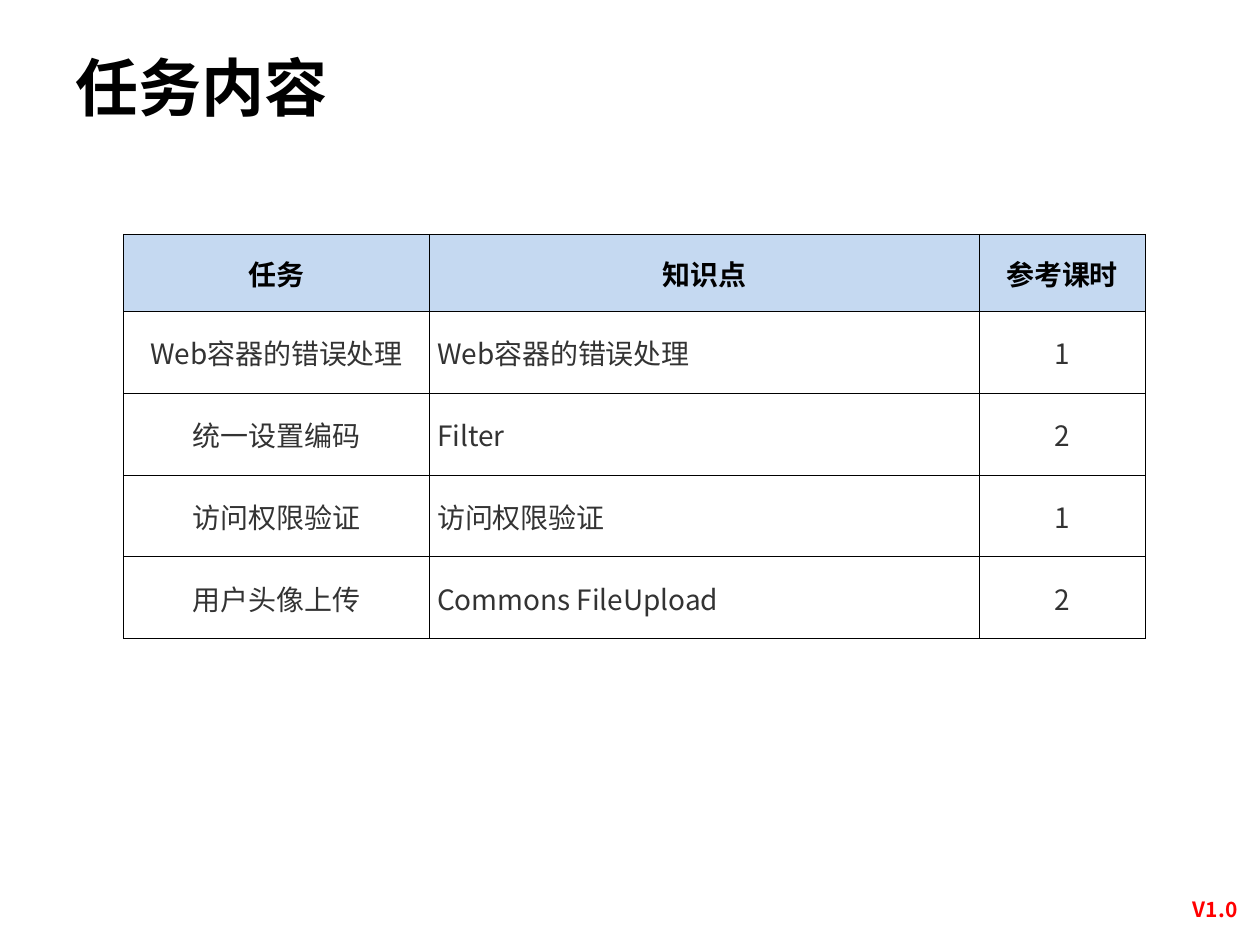
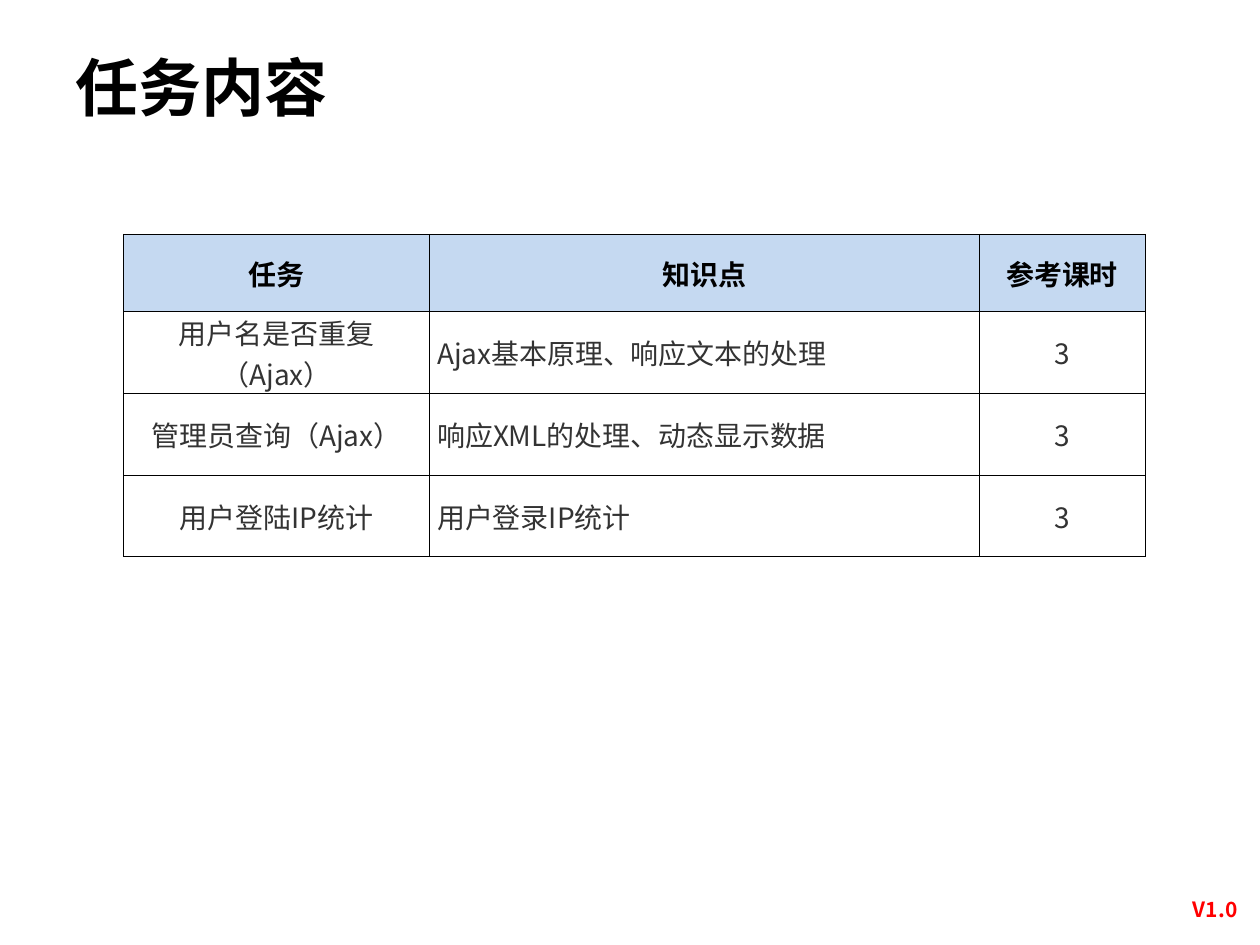
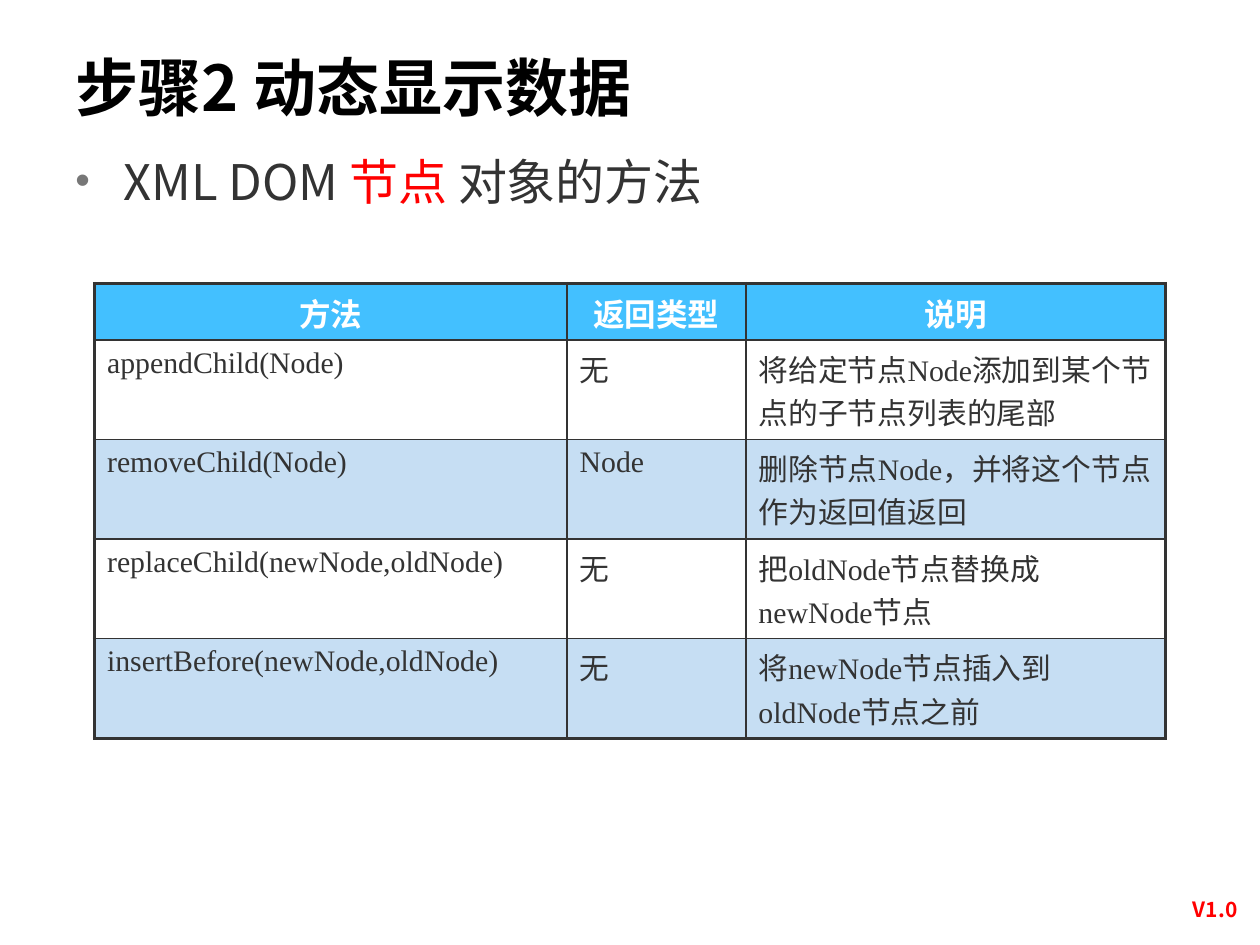
from lxml.etree import SubElement
from pptx import Presentation
from pptx.dml.color import RGBColor
from pptx.enum.text import MSO_ANCHOR as Anchor, PP_ALIGN as Align
from pptx.oxml.ns import qn
from pptx.util import Inches, Pt

COLORS = {
    "title": "000000", "body": "333333", "accent": "FF0000", "bullet": "777777",
    "white": "FFFFFF", "task_header": "C5D9F1", "task_border": "000000",
    "method_header": "43C0FF", "method_band": "C6DEF3", "method_border": "333333",
}
SANS = "Noto Sans CJK SC"
SERIF = "Times New Roman"
TITLE_ONLY = 5
TITLE_BOX = (0.5, 0.3, 7.97, 0.77)
VERSION_BOX = (9.25, 7.07, 0.79, 0.3)

TASK_BOX = (0.98, 1.86, 8.11)
TASK_COLUMNS = (2.43, 4.36, 1.32)
TASK_HEADER = ("任务", "知识点", "参考课时")
TASK_PAGES = (
    (
        ("Web容器的错误处理", "Web容器的错误处理", "1"),
        ("统一设置编码", "Filter", "2"),
        ("访问权限验证", "访问权限验证", "1"),
        ("用户头像上传", "Commons FileUpload", "2"),
    ),
    (
        ("用户名是否重复（Ajax）", "Ajax基本原理、响应文本的处理", "3"),
        ("管理员查询（Ajax）", "响应XML的处理、动态显示数据", "3"),
        ("用户登陆IP统计", "用户登录IP统计", "3"),
    ),
)

TOPIC_BOX = (0.5, 1.15, 8.91, 0.8)
TOPIC = (("XML DOM ", "body"), ("节点", "accent"), (" 对象的方法", "body"))
METHOD_BOX = (0.75, 2.25, 8.5)
METHOD_COLUMNS = (3.75, 1.42, 3.33)
METHOD_ROWS = (
    ("方法", "返回类型", "说明"),
    ("appendChild(Node)", "无", "将给定节点Node添加到某个节点的子节点列表的尾部"),
    ("removeChild(Node)", "Node", "删除节点Node，并将这个节点作为返回值返回"),
    ("replaceChild(newNode,oldNode)", "无", "把oldNode节点替换成newNode节点"),
    ("insertBefore(newNode,oldNode)", "无", "将newNode节点插入到oldNode节点之前"),
)


def rgb(color):
    return RGBColor.from_string(COLORS[color])


def format_run(run, size, color, bold=False, latin=SANS):
    run.font.size = Pt(size)
    run.font.bold = bold
    run.font.name = latin
    run.font.color.rgb = rgb(color)
    SubElement(run.font._element, qn("a:ea"), typeface=SANS)


def format_text(frame, size, color, bold=False, align=Align.LEFT, latin=SANS):
    for paragraph in frame.paragraphs:
        paragraph.alignment = align
        for run in paragraph.runs:
            format_run(run, size, color, bold, latin)


def set_margins(owner, left, top, right, bottom):
    owner.margin_left, owner.margin_top = Inches(left), Inches(top)
    owner.margin_right, owner.margin_bottom = Inches(right), Inches(bottom)


def add_text_box(slide, box):
    frame = slide.shapes.add_textbox(*map(Inches, box)).text_frame
    frame.word_wrap = True
    return frame


def add_page(deck, heading):
    slide = deck.slides.add_slide(deck.slide_layouts[TITLE_ONLY])
    title = slide.shapes.title
    title.left, title.top, title.width, title.height = map(Inches, TITLE_BOX)
    title.text_frame.text = heading
    title.text_frame.vertical_anchor = Anchor.MIDDLE
    format_text(title.text_frame, 36, "title", bold=True)

    version = add_text_box(slide, VERSION_BOX)
    version.text = "V1.0"
    format_text(version, 12, "accent", bold=True, align=Align.CENTER)
    return slide


def add_border(cell, side, width, color):
    line = SubElement(cell._tc.get_or_add_tcPr(), qn(f"a:ln{side}"), w=str(Pt(width)))
    fill = SubElement(line, qn("a:solidFill"))
    SubElement(fill, qn("a:srgbClr"), val=COLORS[color])


def add_grid(slide, box, columns, heights, rows, border, outer, inner):
    left, top, width = box
    table = slide.shapes.add_table(
        len(rows), len(columns),
        Inches(left), Inches(top), Inches(width), Inches(sum(heights)),
    ).table
    table.horz_banding = False
    for column, column_width in zip(table.columns, columns):
        column.width = Inches(column_width)
    for row, height in zip(table.rows, heights):
        row.height = Inches(height)
    for r, texts in enumerate(rows):
        for c, text in enumerate(texts):
            cell = table.cell(r, c)
            edges = {"L": c == 0, "R": c == len(columns) - 1,
                     "T": r == 0, "B": r == len(rows) - 1}
            for side, is_outer in edges.items():
                add_border(cell, side, outer if is_outer else inner, border)
            cell.text_frame.text = text
            yield r, c, cell


def paint_cell(cell, color):
    cell.fill.solid()
    cell.fill.fore_color.rgb = rgb(color)


def add_task_table(slide, box, tasks):
    rows = (TASK_HEADER, *tasks)
    heights = [0.61] + [0.65] * len(tasks)
    for r, c, cell in add_grid(slide, box, TASK_COLUMNS, heights, rows,
                               "task_border", 0.5, 0.5):
        header = r == 0
        knowledge = c == 1 and not header
        paint_cell(cell, "task_header" if header else "white")
        cell.vertical_anchor = Anchor.MIDDLE
        set_margins(cell, 0.06 if knowledge else 0.01, 0.01, 0.01, 0)
        format_text(cell.text_frame, 16, "title" if header else "body", bold=header,
                    align=Align.LEFT if knowledge else Align.CENTER)


def add_method_table(slide, box):
    heights = [0.45] + [0.79] * (len(METHOD_ROWS) - 1)
    for r, c, cell in add_grid(slide, box, METHOD_COLUMNS, heights, METHOD_ROWS,
                               "method_border", 2.25, 1):
        if r == 0:
            paint_cell(cell, "method_header")
            format_text(cell.text_frame, 18, "white", True, Align.CENTER, SERIF)
        else:
            paint_cell(cell, "white" if r % 2 else "method_band")
            format_text(cell.text_frame, 17, "body", latin=SERIF)


def add_topic(slide, box):
    paragraph = add_text_box(slide, box).paragraphs[0]
    indent = Inches(0.38)
    properties = paragraph._p.get_or_add_pPr()
    properties.set("marL", str(indent))
    properties.set("indent", str(-indent))
    bullet_color = SubElement(properties, qn("a:buClr"))
    SubElement(bullet_color, qn("a:srgbClr"), val=COLORS["bullet"])
    SubElement(properties, qn("a:buSzPct"), val="85000")
    SubElement(properties, qn("a:buFont"), typeface="Arial")
    SubElement(properties, qn("a:buChar"), char="•")
    for text, color in TOPIC:
        run = paragraph.add_run()
        run.text = text
        format_run(run, 28, color)


def add_task_page(deck, tasks):
    slide = add_page(deck, "任务内容")
    add_task_table(slide, TASK_BOX, tasks)


def add_method_page(deck):
    slide = add_page(deck, "步骤2 动态显示数据")
    add_topic(slide, TOPIC_BOX)
    add_method_table(slide, METHOD_BOX)


def main():
    deck = Presentation()
    deck.slide_width, deck.slide_height = Inches(10), Inches(7.5)
    for tasks in TASK_PAGES:
        add_task_page(deck, tasks)
    add_method_page(deck)
    deck.save("out.pptx")


if __name__ == "__main__":
    main()
